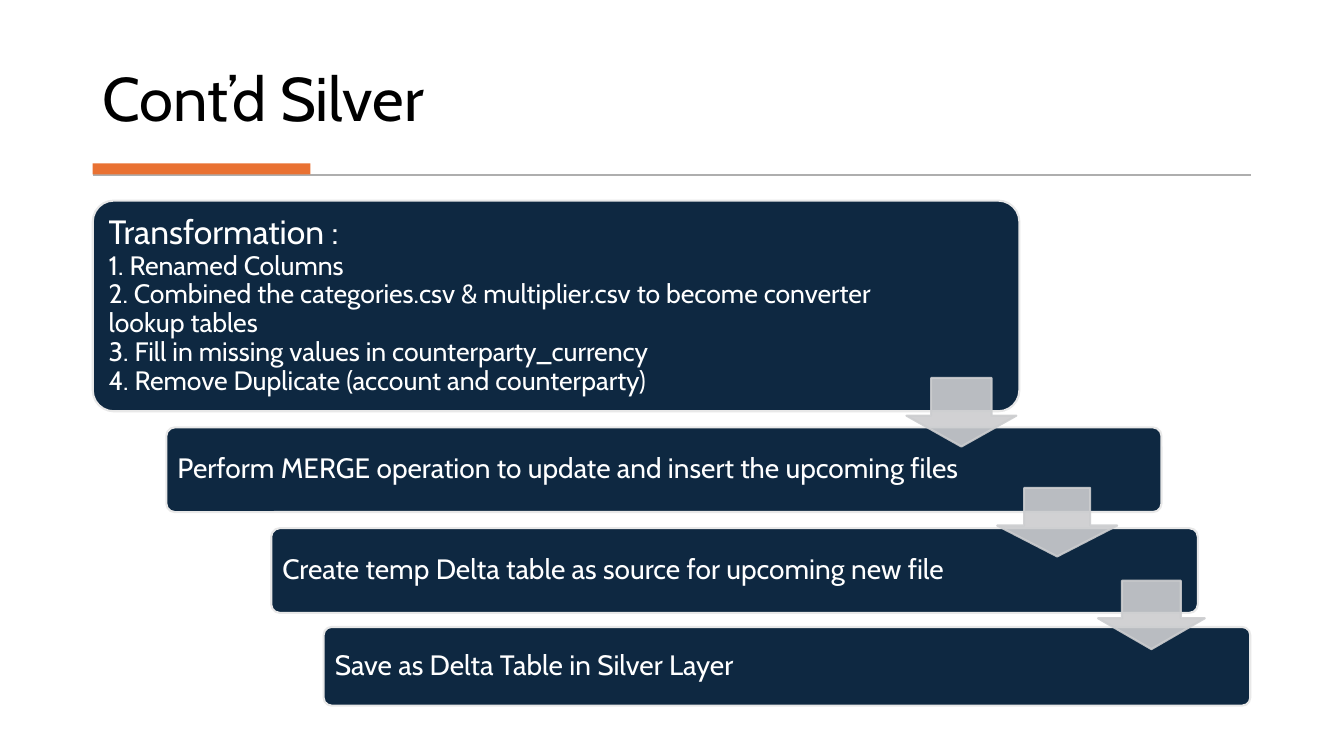
from pptx import Presentation
from pptx.dml.color import RGBColor
from pptx.enum.shapes import MSO_CONNECTOR, MSO_SHAPE
from pptx.enum.text import MSO_ANCHOR, PP_ALIGN
from pptx.oxml.ns import qn
from pptx.util import Inches, Pt
from lxml.etree import SubElement

HUES = {"ink": "000000", "white": "FFFFFF", "navy": "0E2841", "edge": "E8E8E8",
        "arrow": "CCCDCF", "rule": "AEAEAE", "accent": "E97132"}

TASKS = [
    ("Renamed Columns "),
    ("Combined the categories.csv & multiplier.csv to become converter lookup tables"),
    ("Fill in missing values in counterparty_currency "),
    ("Remove Duplicate (account and counterparty)"),
]
FIRST = [("Transformation : ", 24)] + [(f"{n}. {task}", 19) for n, task in enumerate(TASKS, 1)]
STEPS = [
    ((0.92, 1.99, 9.19, 2.09), 7.91, 0.06, 0.1, FIRST),
    ((1.65, 4.24, 9.87, 0.84), 8.27, 0.03, 0.08,
     [("Perform MERGE operation to update and insert the upcoming files", 20)]),
    ((2.69, 5.24, 9.19, 0.84), 7.7, 0.03, 0.08,
     [("Create temp Delta table as source for upcoming new file", 20)]),
    ((3.21, 6.22, 9.19, 0.78), 7.69, 0.03, 0.08,
     [("Save as Delta Table in Silver Layer", 20)]),
]
ARROWS = [(8.99, 3.75, 1.09, 0.68), (9.89, 4.84, 1.19, 0.68), (10.89, 5.76, 1.06, 0.68)]


def hue(name):
    """Return the named colour."""
    return RGBColor.from_string(HUES[name])


def add_run(para, text, size, color):
    """Add one styled run to a paragraph."""
    run = para.add_run()
    run.text = text
    run.font.name = "Cabin"
    run.font.size = Pt(size)
    run.font.color.rgb = hue(color)


def add_form(slide, kind, box, fill, line=None, adjust=()):
    """Draw a flat preset shape in the given box."""
    form = slide.shapes.add_shape(kind, *map(Inches, box))
    form.shadow.inherit = False
    form.fill.solid()
    form.fill.fore_color.rgb = hue(fill)
    if line:
        form.line.color.rgb = hue(line)
        form.line.width = Pt(1.5)
    else:
        form.line.fill.background()
    for spot, value in enumerate(adjust):
        form.adjustments[spot] = value
    return form


def add_head(slide, box):
    """Place the title with its rule and accent bar below."""
    left, top, width, height = box
    title = slide.shapes.title
    title.left, title.top, title.width, title.height = map(Inches, box)
    frame = title.text_frame
    frame.word_wrap = True
    frame.vertical_anchor = MSO_ANCHOR.BOTTOM
    para = frame.paragraphs[0]
    para.alignment = PP_ALIGN.LEFT
    para.line_spacing = 0.9
    add_run(para, "Cont’d Silver", 44, "ink")
    base = top + height + 0.35
    ends = map(Inches, (left, base, left + width, base))
    rule = slide.shapes.add_connector(MSO_CONNECTOR.STRAIGHT, *ends)
    rule.line.color.rgb = hue("rule")
    rule.line.width = Pt(1.5)
    SubElement(rule._element.spPr, qn("a:effectLst"))
    add_form(slide, MSO_SHAPE.RECTANGLE, (left, base - 0.12, 2.16, 0.11), "accent")


def add_step(slide, box, wide, gap, inset, lines):
    """Draw a step panel with its text set inside it."""
    left, top, _, height = box
    add_form(slide, MSO_SHAPE.ROUNDED_RECTANGLE, box, "navy", "edge", (0.1,))
    area = (left + gap, top + gap, wide, height - 2 * gap)
    frame = slide.shapes.add_textbox(*map(Inches, area)).text_frame
    frame.word_wrap = True
    frame.vertical_anchor = MSO_ANCHOR.MIDDLE
    frame.margin_left = frame.margin_right = Inches(inset)
    frame.margin_top = frame.margin_bottom = Inches(inset)
    para = frame.paragraphs[0]
    para.line_spacing = 0.9
    for spot, (text, size) in enumerate(lines):
        if spot:
            para.add_line_break()
        add_run(para, text, size, "white")


def add_arrow(slide, box):
    """Draw a slightly clear arrow that links two steps."""
    arrow = add_form(slide, MSO_SHAPE.DOWN_ARROW, box, "arrow", "arrow", (0.55, 0.45))
    for color in arrow._element.spPr.iter(qn("a:srgbClr")):
        SubElement(color, qn("a:alpha"), val="90000")


def main():
    """Build the slide and save it."""
    deck = Presentation()
    deck.slide_width, deck.slide_height = Inches(13.33), Inches(7.5)
    slide = deck.slides.add_slide(deck.slide_layouts[5])
    slide.background.fill.solid()
    slide.background.fill.fore_color.rgb = hue("white")
    for step in STEPS:
        add_step(slide, *step)
    for box in ARROWS:
        add_arrow(slide, box)
    add_head(slide, (0.92, 0.28, 11.49, 1.11))
    deck.save("out.pptx")


if __name__ == "__main__":
    main()
